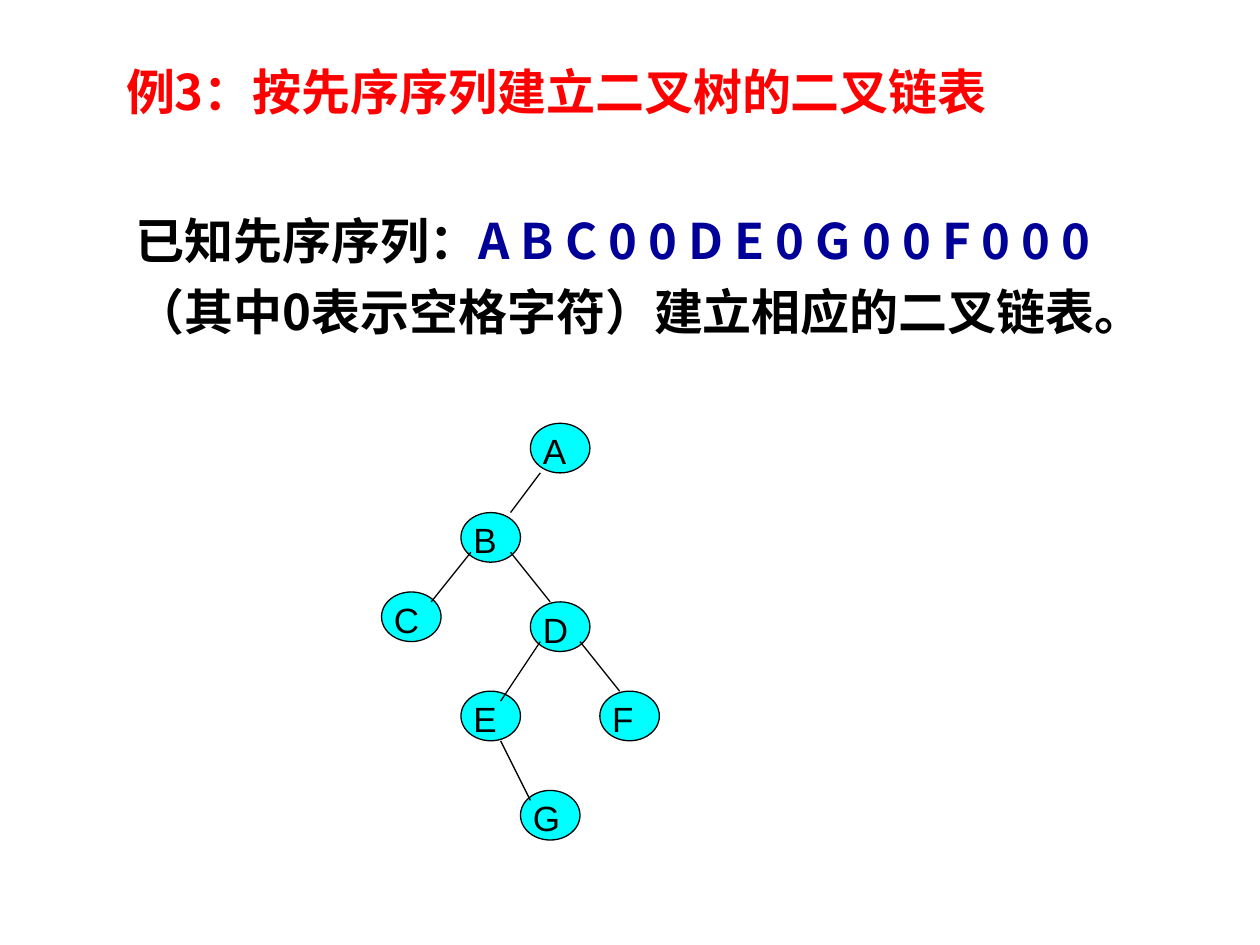
from dataclasses import dataclass

from lxml import etree
from pptx import Presentation
from pptx.dml.color import RGBColor
from pptx.enum import shapes, text
from pptx.oxml.ns import qn
from pptx.util import Pt


@dataclass(frozen=True)
class Theme:
    heading_font: str = "Noto Sans CJK SC"
    label_font: str = "Arial"
    heading_size: float = 28
    label_size: float = 20
    title: str = "FF0000"
    ink: str = "000000"
    accent: str = "000099"
    node: str = "00FFFF"
    line_width: float = 0.75


UNIT = 5.67  # drawing grid step in points
ORIGIN = (303.1, 241.9)
NODE_W, NODE_H = 6, 5
LABEL_H = 31.7

# name: (column, row, label width), in grid steps from the root
NODES = {
    "A": (0, 0, 5),
    "B": (-7, 9, 5),
    "C": (-15, 17, 6),
    "D": (0, 18, 5),
    "E": (-7, 27, 5),
    "F": (7, 27, 6),
    "G": (-1, 37, 6),
}
# parent, offset inside parent, child, offset inside child
EDGES = [
    ("A", (1, 5), "B", (5, 0)),
    ("B", (1, 4), "C", (5, 1)),
    ("B", (5, 4), "D", (2, 0)),
    ("D", (1, 4), "E", (4, 1)),
    ("D", (5, 4), "F", (2, 0)),
    ("E", (4, 5), "G", (1, 1)),
]


def grid_point(name, offset=(0, 0)):
    """Position in points of a grid offset inside a node's box."""
    return [o + (n + d) * UNIT for o, n, d in zip(ORIGIN, NODES[name], offset)]


class SlideBuilder:
    def __init__(self, prs, theme):
        self.theme = theme
        self.s = prs.slides.add_slide(prs.slide_layouts[5])

    def add_run(self, p, words, color, size, font, bold=False):
        r = p.add_run()
        r.text = words
        r.font.size, r.font.name, r.font.bold = Pt(size), font, bold
        r.font.color.rgb = RGBColor.from_string(color)
        ea = etree.SubElement(r.font._element, qn("a:ea"))
        ea.set("typeface", font)

    def add_heading_run(self, p, words, color):
        t = self.theme
        self.add_run(p, words, color, t.heading_size, t.heading_font, True)

    def title(self, words, x, y, w, h):
        sp = self.s.shapes.title
        sp.left, sp.top, sp.width, sp.height = Pt(x), Pt(y), Pt(w), Pt(h)
        tf = sp.text_frame
        tf.vertical_anchor = text.MSO_ANCHOR.TOP
        tf.auto_size = text.MSO_AUTO_SIZE.NONE
        p = tf.paragraphs[0]
        p.alignment = text.PP_ALIGN.LEFT
        self.add_heading_run(p, words, self.theme.title)

    def text_box(self, x, y, w, h):
        tf = self.s.shapes.add_textbox(Pt(x), Pt(y), Pt(w), Pt(h)).text_frame
        tf.word_wrap = True
        return tf

    def body(self, paragraphs, x, y, w, h):
        """Add paragraphs, each a list of (words, colour) runs."""
        tf = self.text_box(x, y, w, h)
        for i, runs in enumerate(paragraphs):
            p = tf.add_paragraph() if i else tf.paragraphs[0]
            p.space_before = Pt(7)
            pPr = p._p.get_or_add_pPr()
            pPr.set("marL", str(Pt(27)))
            pPr.set("indent", str(Pt(-27)))
            for words, color in runs:
                self.add_heading_run(p, words, color)

    def node(self, name):
        x, y = grid_point(name)
        sp = self.s.shapes.add_shape(
            shapes.MSO_SHAPE.OVAL, Pt(x), Pt(y), Pt(NODE_W * UNIT), Pt(NODE_H * UNIT))
        sp.shadow.inherit = False
        sp.fill.solid()
        sp.fill.fore_color.rgb = RGBColor.from_string(self.theme.node)
        self.outline(sp.line)

    def outline(self, line):
        line.color.rgb = RGBColor.from_string(self.theme.ink)
        line.width = Pt(self.theme.line_width)

    def edge(self, start, end):
        c = self.s.shapes.add_connector(
            shapes.MSO_CONNECTOR.STRAIGHT, *(Pt(v) for v in (*start, *end)))
        self.outline(c.line)
        etree.SubElement(c._element.spPr, qn("a:effectLst"))

    def label(self, name):
        t = self.theme
        tf = self.text_box(*grid_point(name), NODES[name][2] * UNIT, LABEL_H)
        self.add_run(tf.paragraphs[0], name, t.ink, t.label_size, t.label_font)


def main():
    prs = Presentation()
    prs.slide_width, prs.slide_height = Pt(720), Pt(540)
    theme = Theme()
    b = SlideBuilder(prs, theme)
    b.title("例3：按先序序列建立二叉树的二叉链表", 64.8, 31.7, 555.8, 51.1)
    b.body([
        [("已知先序序列：", theme.ink), ("A B C 0 0 D E 0 G 0 0 F 0 0 0", theme.accent)],
        [("（其中0表示空格字符）建立相应的二叉链表。", theme.ink)],
    ], 70.6, 116.6, 631.4, 356.4)
    for name in NODES:
        b.node(name)
    for parent, start, child, end in EDGES:
        b.edge(grid_point(parent, start), grid_point(child, end))
    for name in NODES:
        b.label(name)
    prs.save("out.pptx")


if __name__ == "__main__":
    main()
